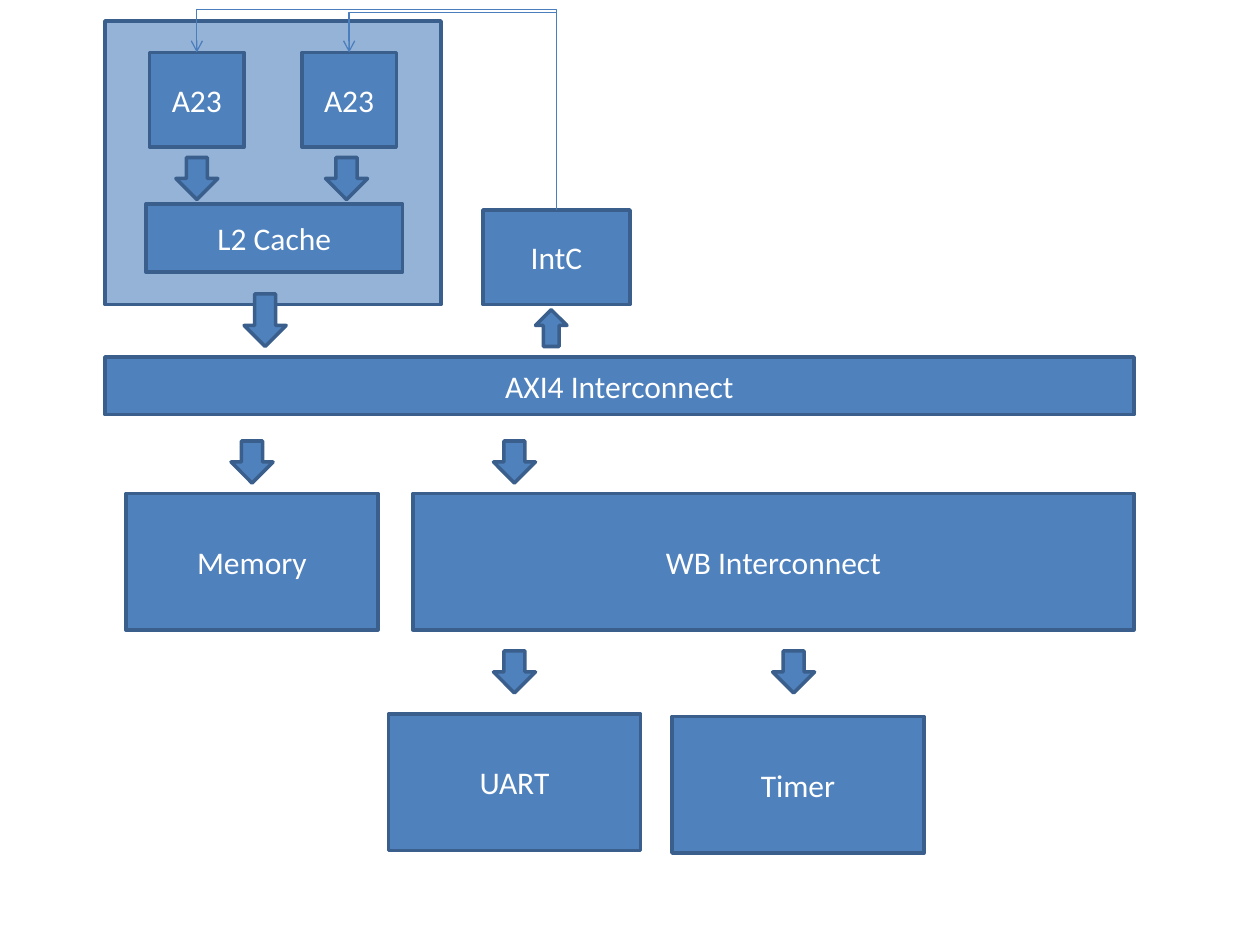
from pptx import Presentation
from pptx.dml.color import RGBColor
from pptx.enum.shapes import MSO_CONNECTOR as Link, MSO_SHAPE as Kind
from pptx.enum.text import MSO_ANCHOR as Anchor, PP_ALIGN as Align
from pptx.oxml.ns import qn
from pptx.util import Pt
from lxml.etree import SubElement

PALE = RGBColor(0x95, 0xB3, 0xD7)
BLUE = RGBColor(0x4F, 0x81, 0xBD)
EDGE = RGBColor(0x3A, 0x5F, 0x8C)
WIRE = RGBColor(0x4B, 0x7E, 0xBC)
WHITE = RGBColor(0xFF, 0xFF, 0xFF)

CLUSTER = (60, 12, 192, 162)
BLOCKS = [
    ("A23", 85.5, 30, 54, 54),
    ("A23", 172.5, 30, 54, 54),
    ("L2 Cache", 83.5, 116.5, 146.5, 39),
    ("IntC", 276, 120, 84, 54),
    ("AXI4 Interconnect", 60, 204, 588, 33),
    ("Memory", 72, 282, 144, 78),
    ("WB Interconnect", 236, 282, 412, 78),
    ("UART", 222, 408, 144, 78),
    ("Timer", 384, 409.5, 144, 78),
]
DOWN, UP = Kind.DOWN_ARROW, Kind.UP_ARROW
ARROWS = [
    (DOWN, 100.5, 90, 24, 24),
    (DOWN, 186, 90, 24, 24),
    (DOWN, 139.5, 168, 24, 30),
    (UP, 306, 177, 18, 21),
    (DOWN, 132, 252, 24, 24),
    (DOWN, 282, 252, 24, 24),
    (DOWN, 282, 372, 24, 24),
    (DOWN, 441.5, 372, 24, 24),
]
START = (318, 120)
WIRES = [(112.5, 30, 5.4), (199.5, 30, 7.3)]


def write(shape, text, size=18, color=WHITE, font="Calibri"):
    frame = shape.text_frame
    frame.word_wrap = True
    frame.vertical_anchor = Anchor.MIDDLE
    para = frame.paragraphs[0]
    para.alignment = Align.CENTER
    run = para.add_run()
    run.text = text
    run.font.size = Pt(size)
    run.font.name = font
    run.font.color.rgb = color


def draw(kind, box, fill=BLUE):
    shape = slide.shapes.add_shape(kind, *map(Pt, box))
    shape.shadow.inherit = False
    shape.fill.solid()
    shape.fill.fore_color.rgb = fill
    shape.line.color.rgb = EDGE
    shape.line.width = Pt(2)
    return shape


def route(end_x, end_y, top):
    x, y = START
    wide, tall = x - end_x, y - end_y
    wire = slide.shapes.add_connector(Link.ELBOW, 0, 0, 0, 0)
    wire.left = Pt((x + end_x - tall) / 2)
    wire.top = Pt((y + end_y - wide) / 2)
    wire.width, wire.height = Pt(tall), Pt(wide)
    wire.line.color.rgb = WIRE
    wire.line.width = Pt(0.75)
    props = wire._element.spPr
    frame = props.find(qn("a:xfrm"))
    frame.set("rot", "16200000")
    frame.set("flipV", "1")
    guides = props.find(qn("a:prstGeom")).get_or_add_avLst()
    bend = round((y - top) / tall * 100000)
    SubElement(guides, qn("a:gd"), name="adj1", fmla=f"val {bend}")
    SubElement(props.find(qn("a:ln")), qn("a:tailEnd"), type="arrow")
    SubElement(props, qn("a:effectLst"))


deck = Presentation()
deck.slide_width, deck.slide_height = Pt(720), Pt(540)
slide = deck.slides.add_slide(deck.slide_layouts[6])

draw(Kind.RECTANGLE, CLUSTER, PALE)
for text, *box in BLOCKS:
    write(draw(Kind.RECTANGLE, box), text)
for kind, *box in ARROWS:
    draw(kind, box)
for wire in WIRES:
    route(*wire)

deck.save("out.pptx")
